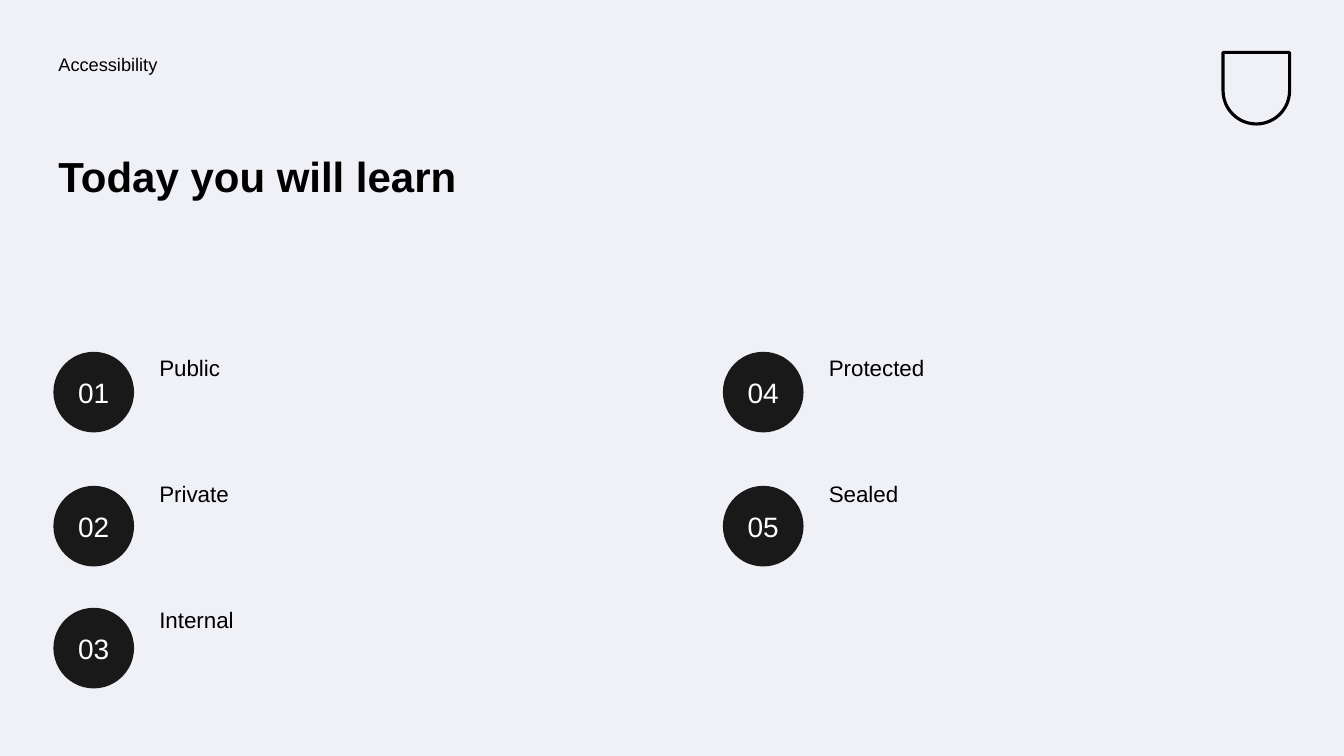
from pptx import Presentation
from pptx.dml.color import RGBColor
from pptx.enum import shapes, text
from pptx.oxml.ns import qn
from pptx.util import Inches, Pt

BLACK, DISC, WHITE, PAPER = "000000", "191919", "FEFFFF", "F0F1F6"
COLUMNS = (0.53, 7.17)
DISC_ROWS = (3.49, 4.82, 6.03)
LABEL_TOP, LABEL_STEP, LABEL_INDENT = 3.49, 1.25, 1.0
DISC_SIZE = 0.8
TOPICS = (("Public", "Private", "Internal"), ("Protected", "Sealed"))


def rgb(value):
    return RGBColor.from_string(value)


def place(sp, left, top, width, height):
    sp.left, sp.top = Inches(left), Inches(top)
    sp.width, sp.height = Inches(width), Inches(height)


def write(sp, words, size, color=BLACK, bold=False, spacing=0.9,
          align=text.PP_ALIGN.LEFT, anchor=text.MSO_ANCHOR.TOP):
    tf = sp.text_frame
    tf.text = words
    tf.word_wrap = True
    tf.auto_size = text.MSO_AUTO_SIZE.NONE
    tf.vertical_anchor = anchor
    tf.margin_left = tf.margin_right = tf.margin_top = tf.margin_bottom = Inches(0.05)
    p = tf.paragraphs[0]
    p.alignment, p.line_spacing, p.space_before = align, spacing, Pt(0)
    font = p.runs[0].font
    font.name, font.size, font.bold = "Arial", Pt(size), bold
    font.color.rgb = rgb(color)


def remove_bullet(p):
    pPr = p._p.get_or_add_pPr()
    pPr.set("marL", "0")
    pPr.set("indent", "0")
    pPr.append(pPr.makeelement(qn("a:buNone"), {}))


def add_disc(s, number, left, top):
    sp = s.shapes.add_shape(shapes.MSO_SHAPE.OVAL, 0, 0, 0, 0)
    place(sp, left, top, DISC_SIZE, DISC_SIZE)
    sp.shadow.inherit = False
    sp.fill.solid()
    sp.fill.fore_color.rgb = rgb(DISC)
    sp.line.fill.background()
    write(sp, f"{number:02}", 20, WHITE, spacing=1.0,
          align=text.PP_ALIGN.CENTER, anchor=text.MSO_ANCHOR.MIDDLE)


def add_label(s, words, left, top):
    sp = s.shapes.add_textbox(0, 0, 0, 0)
    place(sp, left, top, 4.63, 0.99)
    write(sp, words, 16)


def add_badge(s):
    """Plain shield outline in the top right corner."""
    sp = s.shapes.add_shape(shapes.MSO_SHAPE.ROUND_2_SAME_RECTANGLE, 0, 0, 0, 0)
    place(sp, 12.13, 0.52, 0.66, 0.71)
    sp.rotation = 180
    sp.adjustments[0] = 0.5
    sp.shadow.inherit = False
    sp.fill.background()
    sp.line.color.rgb = rgb(BLACK)
    sp.line.width = Pt(2.25)


def main():
    prs = Presentation()
    prs.slide_width, prs.slide_height = Inches(13.33), Inches(7.5)
    s = prs.slides.add_slide(prs.slide_layouts[1])
    s.background.fill.solid()
    s.background.fill.fore_color.rgb = rgb(PAPER)

    add_badge(s)
    title, header = s.shapes.title, s.placeholders[1]
    place(header, COLUMNS[0], 0.5, 6.14, 0.5)
    write(header, "Accessibility", 13)
    remove_bullet(header.text_frame.paragraphs[0])
    place(title, COLUMNS[0], 1.5, 5.64, 1.49)
    write(title, "Today you will learn", 30, bold=True)

    number = 0
    for left, topics in zip(COLUMNS, TOPICS):
        for row, topic in enumerate(topics):
            number += 1
            add_disc(s, number, left, DISC_ROWS[row])
            add_label(s, topic, left + LABEL_INDENT, LABEL_TOP + row * LABEL_STEP)

    prs.save("out.pptx")


if __name__ == "__main__":
    main()
